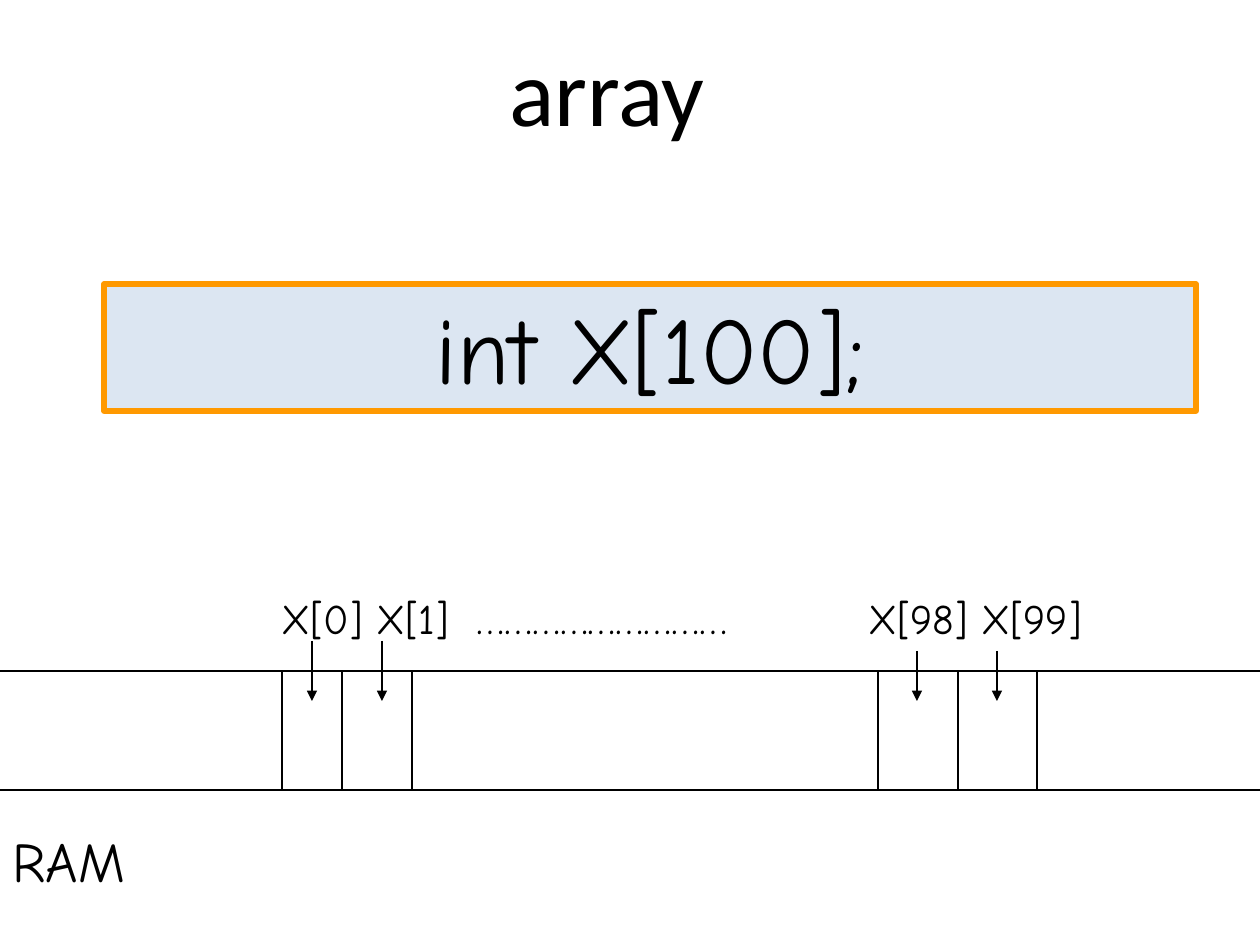
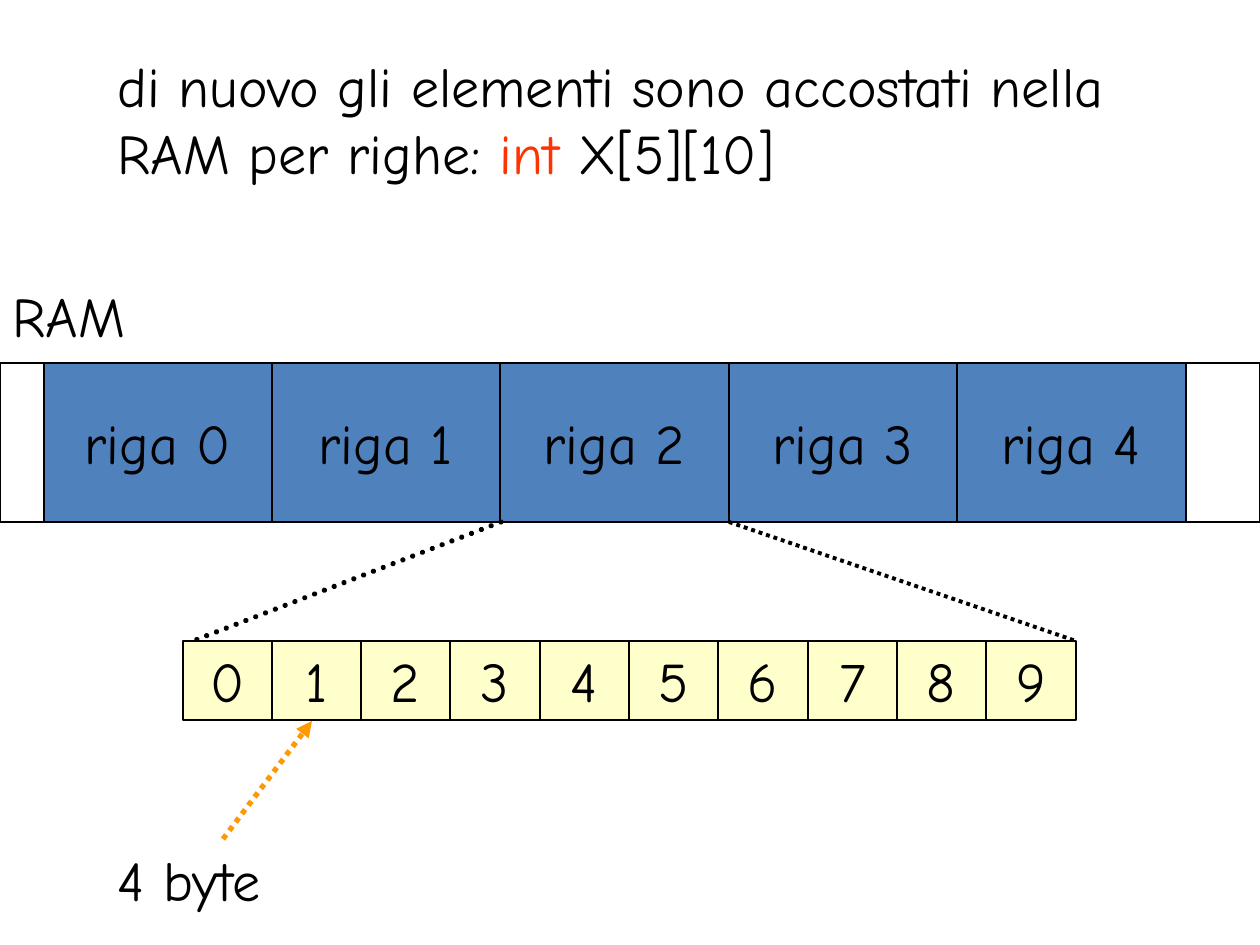
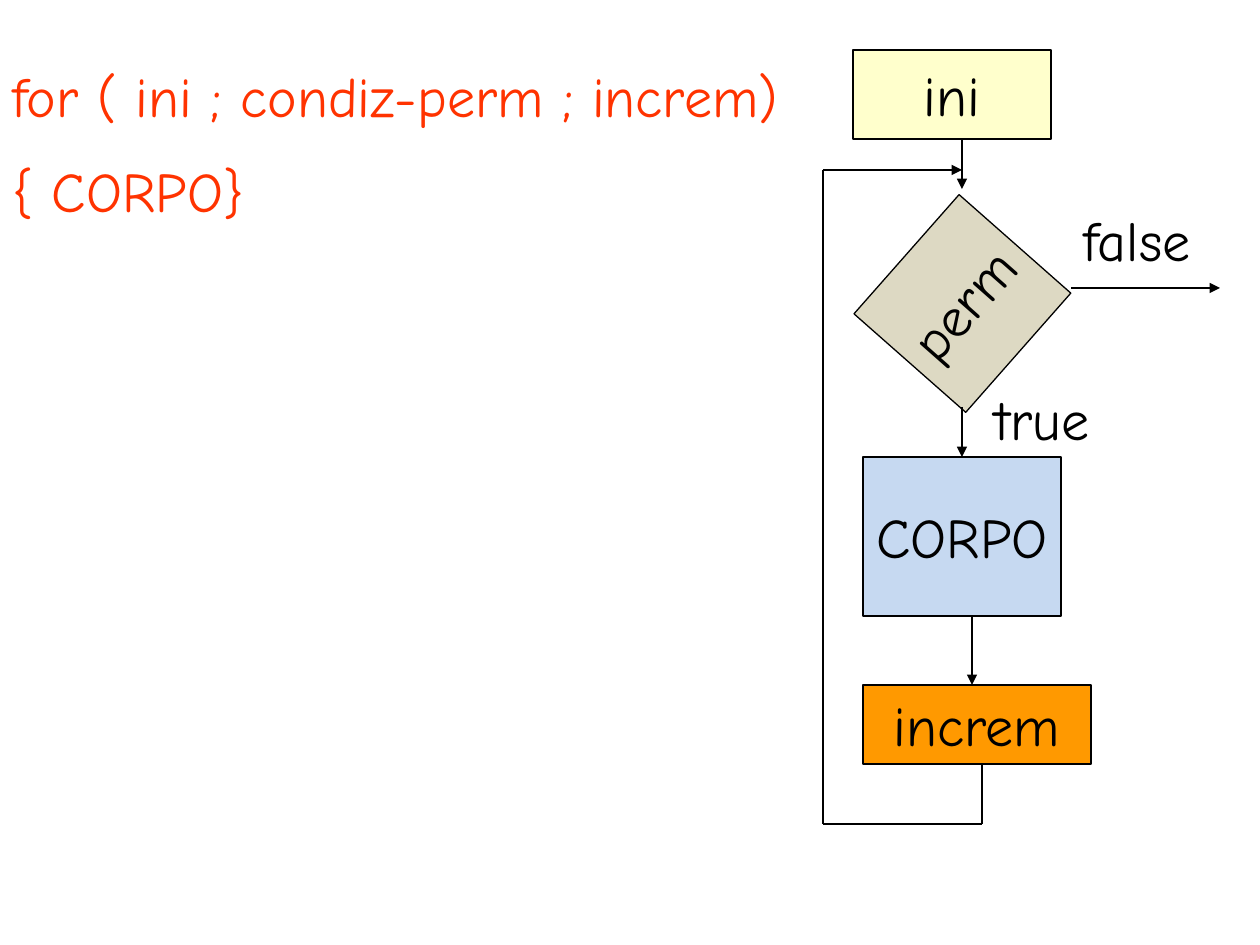
from lxml import etree
from pptx import Presentation
from pptx.dml.color import RGBColor
from pptx.enum.dml import MSO_LINE
from pptx.enum.shapes import MSO_CONNECTOR, MSO_SHAPE
from pptx.enum.text import MSO_ANCHOR, MSO_AUTO_SIZE, PP_ALIGN
from pptx.oxml.ns import qn
from pptx.util import Emu, Pt

EMU_PER_PX = 914400 / 126
RECT = MSO_SHAPE.RECTANGLE
STRAIGHT = MSO_CONNECTOR.STRAIGHT
DOTTED = MSO_LINE.ROUND_DOT
MIDDLE, TOP = MSO_ANCHOR.MIDDLE, MSO_ANCHOR.TOP
LEFT, CENTER = PP_ALIGN.LEFT, PP_ALIGN.CENTER
GROW = MSO_AUTO_SIZE.SHAPE_TO_FIT_TEXT

FONT, TITLE_FONT = "Comic Neue", "Calibri"
BODY_SIZE, LABEL_SIZE, BIG_SIZE = 32, 24, 54
BLACK, RED, ORANGE = "000000", "FF3300", "FF9900"
CREAM, BLUE, PALE_BLUE = "FFFFCC", "4F81BD", "DCE6F2"
SKY, SAND = "C6D9F1", "DDD9C3"


def px(n):
    """Turn picture pixels into EMU."""
    return Emu(round(n * EMU_PER_PX))


def rgb(value):
    """Turn a hex string into a colour."""
    return RGBColor.from_string(value)


def style_run(r, size=BODY_SIZE, color=BLACK, font=FONT):
    """Set the font of one run."""
    r.font.size = Pt(size)
    r.font.name = font
    r.font.color.rgb = rgb(color)


def add_text(s, box, paragraphs, size=BODY_SIZE, font=FONT, align=LEFT):
    """Add a text box whose paragraphs are lists of (text, colour) runs."""
    tf = s.shapes.add_textbox(*map(px, box)).text_frame
    tf.word_wrap = True
    tf.auto_size = GROW
    for i, runs in enumerate(paragraphs):
        p = tf.add_paragraph() if i else tf.paragraphs[0]
        p.alignment = align
        if i:
            p.space_before = Pt(size / 2)
        for text, color in runs:
            r = p.add_run()
            r.text = text
            style_run(r, size, color, font)
    return tf


def add_label(s, box, text):
    """Add a plain one-line text box."""
    return add_text(s, box, [[(text, BLACK)]])


def add_box(s, box, text="", fill=None, line=BLACK, width=0.75, size=BODY_SIZE, wrap=False):
    """Add an outlined rectangle with centred text."""
    sp = s.shapes.add_shape(RECT, *map(px, box))
    sp.shadow.inherit = False
    if fill:
        sp.fill.solid()
        sp.fill.fore_color.rgb = rgb(fill)
    else:
        sp.fill.background()
    sp.line.color.rgb = rgb(line)
    sp.line.width = Pt(width)
    if text:
        tf = sp.text_frame
        tf.text = text
        tf.word_wrap = wrap
        tf.vertical_anchor = MIDDLE
        tf.paragraphs[0].alignment = CENTER
        style_run(tf.paragraphs[0].runs[0], size)
    return sp


def add_line(s, x1, y1, x2, y2, color=BLACK, width=0.75, dash=None, arrow=False, cap=None):
    """Add a straight line, with an arrowhead at its end if asked."""
    c = s.shapes.add_connector(STRAIGHT, px(x1), px(y1), px(x2), px(y2))
    c.line.color.rgb = rgb(color)
    c.line.width = Pt(width)
    if dash:
        c.line.dash_style = dash
    ln = c.line._get_or_add_ln()
    if cap:
        ln.set("cap", cap)
    if arrow:
        etree.SubElement(ln, qn("a:tailEnd"), type="triangle")
    etree.SubElement(c._element.spPr, qn("a:effectLst"))


def add_tabbed_labels(s, box, labels):
    """Add a line of labels, each (text, offset) starting at a tab stop."""
    tf = add_label(s, box, "\t")
    p = tf.paragraphs[0]
    r = p.add_run()
    r.text = "\t".join(text for text, _ in labels)
    style_run(r, LABEL_SIZE)
    tabs = etree.SubElement(p._p.get_or_add_pPr(), qn("a:tabLst"))
    for _, offset in labels:
        etree.SubElement(tabs, qn("a:tab"), pos=str(px(offset)), algn="l")


def add_row(s, left, top, width, height, labels, fill):
    """Split a band into equal touching cells."""
    edges = [left + width * i // len(labels) for i in range(len(labels) + 1)]
    for text, x1, x2 in zip(labels, edges, edges[1:]):
        add_box(s, (x1, top, x2 - x1, height), text, fill)


def array_slide(s):
    """Show a one-dimensional array in memory."""
    add_text(s, (389, 26, 436, 127), [[("array", BLACK)]], BIG_SIZE, TITLE_FONT, CENTER)
    sp = add_box(s, (104, 284, 1092, 127), "int X[100];", PALE_BLUE, ORANGE, 3, BIG_SIZE, True)
    sp.text_frame.vertical_anchor = TOP
    top, bottom = 671, 790
    for y in (top, bottom):
        add_line(s, 0, y, 1260, y)
    for x in (282, 342, 412, 878, 958, 1037):
        add_line(s, x, top, x, bottom)
    add_label(s, (0, 820, 184, 79), "RAM")
    add_tabbed_labels(s, (64, 572, 1160, 79), [
        ("X[0]", 205), ("X[1]", 300), ("…" * 9, 400), ("X[98]", 792), ("X[99]", 905)])
    for x, y in ((312, 641), (382, 641), (917, 651), (997, 651)):
        add_line(s, x, y, x, 701, arrow=True)


def matrix_slide(s):
    """Show a two-dimensional array stored row by row."""
    add_text(s, (105, 45, 1052, 147), [[
        ("di nuovo gli elementi sono accostati nella RAM per righe: ", BLACK),
        ("int ", RED), ("X[5][10]", BLACK)]])
    add_box(s, (0, 363, 1260, 159))
    add_row(s, 44, 363, 1142, 159, [f"riga {i}" for i in range(5)], BLUE)
    add_row(s, 183, 641, 893, 79, [str(i) for i in range(10)], CREAM)
    add_line(s, 501, 522, 193, 641, width=3, dash=DOTTED, cap="rnd")
    add_line(s, 729, 522, 1076, 641, width=2.25, dash=DOTTED)
    add_label(s, (0, 275, 174, 79), "RAM")
    add_label(s, (105, 839, 466, 79), "4 byte")
    add_line(s, 223, 839, 312, 721, ORANGE, 3, DOTTED, arrow=True)


def for_slide(s):
    """Show the flow chart of a for loop."""
    add_box(s, (853, 50, 198, 89), "ini", CREAM)
    add_box(s, (883, 229, 159, 149), "perm", SAND).rotation = 311.4
    add_box(s, (863, 457, 198, 159), "CORPO", SKY)
    add_box(s, (863, 685, 228, 79), "increm", ORANGE)
    for x1, y1, x2, y2 in ((962, 139, 962, 189), (962, 407, 962, 457),
                           (972, 616, 972, 685), (1071, 288, 1220, 288)):
        add_line(s, x1, y1, x2, y2, arrow=True)
    loop = [(982, 764), (982, 824), (823, 824), (823, 170), (962, 170)]
    for start, end in zip(loop, loop[1:]):
        add_line(s, *start, *end, arrow=end == loop[-1])
    add_label(s, (1071, 199, 189, 79), "false")
    add_label(s, (982, 378, 198, 79), "true")
    add_text(s, (0, 55, 858, 183), [
        [("for ( ini ; condiz-perm ; increm)", RED)], [("{ CORPO}", RED)]])


def main():
    """Build and save the presentation."""
    prs = Presentation()
    prs.slide_width, prs.slide_height = px(1260), px(945)
    for build in (array_slide, matrix_slide, for_slide):
        build(prs.slides.add_slide(prs.slide_layouts[6]))
    prs.save("out.pptx")


main()
